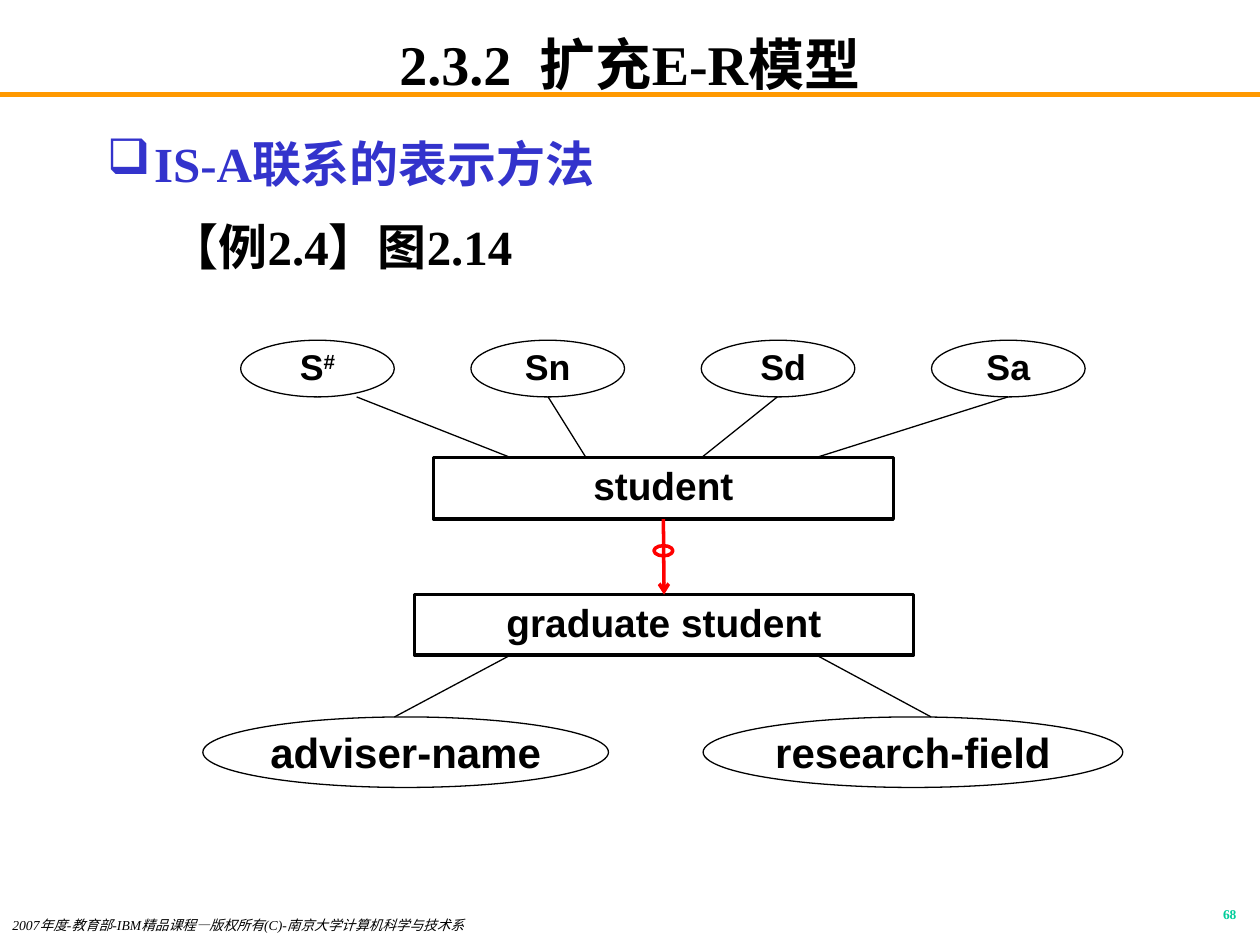
"""Build the slide on drawing IS-A relationships in an extended E-R model."""
from dataclasses import dataclass

from lxml import etree
from pptx import Presentation
from pptx.dml.color import RGBColor
from pptx.enum import shapes, text
from pptx.oxml import ns
from pptx.util import Pt


@dataclass(frozen=True)
class Theme:
    serif: str = "Times New Roman"
    sans: str = "Arial"
    black: str = "000000"
    white: str = "FFFFFF"
    orange: str = "FF9900"
    blue: str = "3333CC"
    green: str = "00CC99"
    red: str = "FF0000"
    title: float = 32
    body: float = 28
    attribute: float = 20.4
    entity: float = 22.2
    wide_attribute: float = 24
    footer: float = 7.8
    number: float = 7.7
    thin: float = 0.75
    thick: float = 2
    rule: float = 3


THEME = Theme()


def color(code):
    return RGBColor.from_string(code)


def add_run(paragraph, words, size, face, ink=THEME.black, bold=True, italic=False):
    run = paragraph.add_run()
    run.text = words
    font = run.font
    font.size, font.name, font.bold, font.italic = Pt(size), face, bold, italic
    font.color.rgb = color(ink)
    return run


def set_frame(frame, insets, anchor):
    frame.word_wrap = True
    frame.vertical_anchor = anchor
    left, top, right, bottom = map(Pt, insets)
    frame.margin_left, frame.margin_top = left, top
    frame.margin_right, frame.margin_bottom = right, bottom


def add_textbox(slide, box, insets=(7.2, 3.6, 7.2, 3.6), anchor=text.MSO_ANCHOR.TOP):
    frame = slide.shapes.add_textbox(*map(Pt, box)).text_frame
    set_frame(frame, insets, anchor)
    return frame


def add_label(slide, box, words, size, ink, align, spacing=1.0, **style):
    paragraph = add_textbox(slide, box).paragraphs[0]
    paragraph.alignment = align
    paragraph.line_spacing = spacing
    add_run(paragraph, words, size, THEME.serif, ink, **style)


def indent(paragraph, margin, hanging, bullet=None, ink=THEME.black):
    props = paragraph._p.get_or_add_pPr()
    props.set("marL", str(Pt(margin)))
    props.set("indent", str(Pt(-hanging)))
    if bullet:
        shade = etree.SubElement(props, ns.qn("a:buClr"))
        etree.SubElement(shade, ns.qn("a:srgbClr")).set("val", ink)
        etree.SubElement(props, ns.qn("a:buChar")).set("char", bullet)
    else:
        etree.SubElement(props, ns.qn("a:buNone"))


def add_node(slide, kind, box, words, size, width, inset=7.2, spacing=0.9, shift=0):
    node = slide.shapes.add_shape(kind, *map(Pt, box))
    node.shadow.inherit = False
    node.fill.solid()
    node.fill.fore_color.rgb = color(THEME.white)
    node.line.color.rgb = color(THEME.black)
    node.line.width = Pt(width)
    set_frame(node.text_frame, (inset + shift, inset / 2, inset, inset / 2), text.MSO_ANCHOR.MIDDLE)
    paragraph = node.text_frame.paragraphs[0]
    paragraph.alignment = text.PP_ALIGN.CENTER
    paragraph.line_spacing = spacing
    add_run(paragraph, words, size, THEME.sans)
    return node


def add_link(slide, start, end, ink=THEME.black, width=THEME.thin):
    link = slide.shapes.add_connector(shapes.MSO_CONNECTOR.STRAIGHT, *map(Pt, (*start, *end)))
    link.line.color.rgb = color(ink)
    link.line.width = Pt(width)
    etree.SubElement(link._element.spPr, ns.qn("a:effectLst"))
    return link


def add_heading(slide):
    add_link(slide, (0, 54), (720, 54), THEME.orange, THEME.rule)
    frame = add_textbox(slide, (54, 18, 612, 36), (7.2, 0, 7.2, 0), text.MSO_ANCHOR.MIDDLE)
    title = frame.paragraphs[0]
    title.alignment = text.PP_ALIGN.CENTER
    add_run(title, "2.3.2  扩充E-R模型", THEME.title, THEME.serif)


def add_body(slide):
    frame = add_textbox(slide, (54, 66.2, 612, 113.8))
    topic, example = frame.paragraphs[0], frame.add_paragraph()
    indent(topic, 27, 27, "❑", THEME.blue)
    indent(example, 58.5, 22.5)
    example.space_before = Pt(7)
    topic.line_spacing = example.line_spacing = 1.2
    add_run(topic, "IS-A联系的表示方法", THEME.body, THEME.serif, THEME.blue)
    add_run(example, "【例2.4】图2.14", THEME.body, THEME.serif)


def add_attributes(slide):
    first_left, step, top, width, height = 137.5, 131.6, 194.4, 87.8, 32.4
    for column, (words, shift) in enumerate((("S", 0), ("Sn", 0), ("Sd", 5.7), ("Sa", 0))):
        box = (first_left + column * step, top, width, height)
        attribute = add_node(slide, shapes.MSO_SHAPE.OVAL, box, words,
                             THEME.attribute, THEME.thin, shift=shift)
        if words == "S":
            key = add_run(attribute.text_frame.paragraphs[0], "#", THEME.attribute, THEME.sans)
            key._r.get_or_add_rPr().set("baseline", "30000")
    bottom = top + height
    for attribute_x, student_x in ((203.8, 291.6), (313.2, 334.8), (444.2, 401), (576, 466.6)):
        add_link(slide, (attribute_x, bottom), (student_x, 261.4))


def add_entities(slide):
    rectangle = shapes.MSO_SHAPE.RECTANGLE
    student = add_node(slide, rectangle, (247.7, 261.4, 262.8, 35.3), "student",
                       THEME.entity, THEME.thick)
    graduate = add_node(slide, rectangle, (236.9, 339.8, 285.1, 34.6), "graduate student",
                        THEME.entity, THEME.thick)
    is_a = add_link(slide, (378, 296.7), (378.7, 339.8), THEME.red, THEME.thick)
    is_a.begin_connect(student, 2)
    is_a.end_connect(graduate, 0)
    etree.SubElement(is_a.line._get_or_add_ln(), ns.qn("a:tailEnd")).set("type", "arrow")


def add_graduate_attributes(slide):
    for left, width, words, start_x, end_x in (
            (401.8, 239.8, "research-field", 466.6, 532.1),
            (115.9, 231.8, "adviser-name", 291.6, 225.4)):
        add_node(slide, shapes.MSO_SHAPE.OVAL, (left, 409.7, width, 40.3), words,
                 THEME.wide_attribute, THEME.thin, inset=0, spacing=1.0)
        add_link(slide, (start_x, 374.4), (end_x, 409.7))


def add_is_a_ring(slide):
    ring = slide.shapes.add_shape(shapes.MSO_SHAPE.OVAL, *map(Pt, (373.7, 311.8, 10.8, 5.8)))
    ring.shadow.inherit = False
    ring.fill.background()
    ring.line.color.rgb = color(THEME.red)
    ring.line.width = Pt(THEME.thick)


def main():
    deck = Presentation()
    deck.slide_width, deck.slide_height = Pt(720), Pt(540)
    slide = deck.slides.add_slide(deck.slide_layouts[6])
    add_heading(slide)
    add_body(slide)
    add_label(slide, (0, 522, 396, 18), "2007年度-教育部-IBM精品课程—版权所有(C)-南京大学计算机科学与技术系",
              THEME.footer, THEME.black, text.PP_ALIGN.LEFT, 0.8, bold=False, italic=True)
    add_label(slide, (563.8, 516.2, 149.8, 18), "68", THEME.number, THEME.green,
              text.PP_ALIGN.RIGHT, 0.8)
    add_attributes(slide)
    add_entities(slide)
    add_graduate_attributes(slide)
    add_is_a_ring(slide)
    deck.save("out.pptx")


if __name__ == "__main__":
    main()
